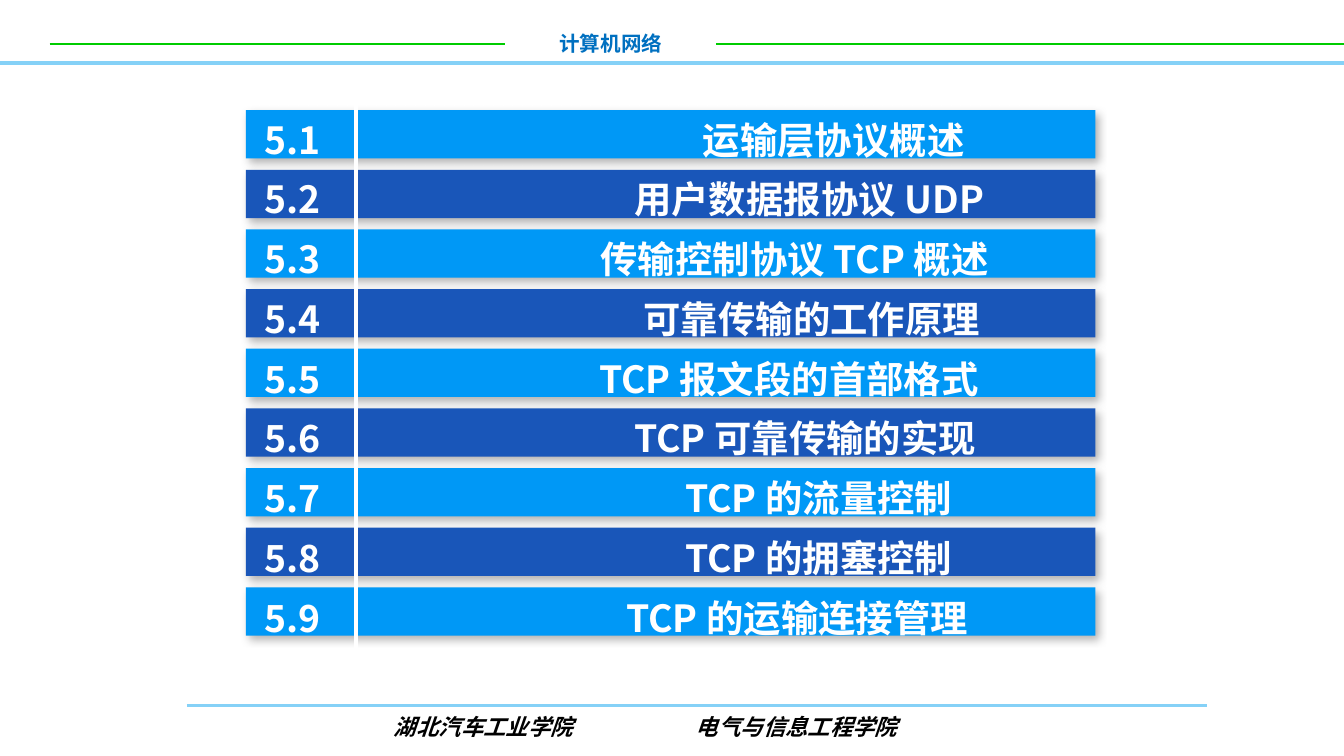
from lxml.etree import SubElement
from pptx import Presentation
from pptx.dml.color import RGBColor
from pptx.enum.shapes import MSO_CONNECTOR as LINE, MSO_SHAPE as SHAPE
from pptx.enum.text import MSO_AUTO_SIZE as FIT, PP_ALIGN as ALIGN
from pptx.oxml.ns import qn
from pptx.util import Inches, Pt

SKY = RGBColor(0x85, 0xD1, 0xF7)
GREEN = RGBColor(0x00, 0xCC, 0x00)
NAVY = RGBColor(0x19, 0x56, 0xB9)
AZURE = RGBColor(0x00, 0x98, 0xF6)
BLUE = RGBColor(0x00, 0x70, 0xC0)
WHITE = RGBColor(0xFF, 0xFF, 0xFF)
BLACK = RGBColor(0x00, 0x00, 0x00)
SANS = "Noto Sans CJK SC"

# Section number, title, tab stop in inches
TOPICS = [
    ("5.1", "运输层协议概述", 3.26),
    ("5.2", "用户数据报协议 UDP", 2.75),
    ("5.3", "传输控制协议 TCP 概述", 2.5),
    ("5.4", "可靠传输的工作原理", 2.82),
    ("5.5", "TCP 报文段的首部格式", 2.49),
    ("5.6", "TCP 可靠传输的实现", 2.75),
    ("5.7", "TCP 的流量控制", 3.13),
    ("5.8", "TCP 的拥塞控制", 3.13),
    ("5.9", "TCP 的运输连接管理", 2.69),
]
TOP, LAST = 0.82, 4.37
PITCH = (LAST - TOP) / (len(TOPICS) - 1)


def add_line(slide, x1, y1, x2, y2, color, width):
    line = slide.shapes.add_connector(
        LINE.STRAIGHT, Inches(x1), Inches(y1), Inches(x2), Inches(y2))
    line.line.color.rgb = color
    line.line.width = Pt(width)
    SubElement(line._element.spPr, qn("a:effectLst"))


def add_shadow(shape):
    effects = SubElement(shape._element.spPr, qn("a:effectLst"))
    outer = SubElement(effects, qn("a:outerShdw"), blurRad=str(Pt(4.5)),
                       dist=str(Pt(2.6)), dir=str(53 * 60000),
                       algn="tl", rotWithShape="0")
    tint = SubElement(outer, qn("a:srgbClr"), val=str(BLACK))
    SubElement(tint, qn("a:alpha"), val="30000")


def add_bar(slide, top, color):
    bar = slide.shapes.add_shape(
        SHAPE.RECTANGLE, Inches(1.83), Inches(top), Inches(6.32), Inches(0.36))
    bar.fill.solid()
    bar.fill.fore_color.rgb = color
    bar.line.fill.background()
    add_shadow(bar)


def add_box(slide, x, y, w, h):
    box = slide.shapes.add_textbox(Inches(x), Inches(y), Inches(w), Inches(h))
    frame = box.text_frame
    frame.word_wrap = True
    frame.auto_size = FIT.SHAPE_TO_FIT_TEXT
    return frame


def add_tabs(para, stops, align):
    tabs = SubElement(para._p.get_or_add_pPr(), qn("a:tabLst"))
    for stop in stops:
        SubElement(tabs, qn("a:tab"), pos=str(Inches(stop)), algn=align)


def style(para, size, color, face=SANS, italic=False):
    for run in para.runs:
        font = run.font
        font.size, font.bold, font.italic = Pt(size), True, italic
        font.color.rgb = color
        font.name = face
        SubElement(run._r.get_or_add_rPr(), qn("a:ea"), typeface=face)


def add_frame(slide):
    """Draw the header and footer."""
    add_line(slide, 1.39, 5.25, 8.98, 5.25, SKY, 1.5)
    add_line(slide, 0, 0.47, 10, 0.47, SKY, 2)
    add_line(slide, 0.37, 0.33, 3.76, 0.33, GREEN, 1)
    add_line(slide, 5.33, 0.33, 10, 0.33, GREEN, 1)

    head = add_box(slide, 3.76, 0.18, 1.57, 0.29).paragraphs[0]
    head.text = "计算机网络"
    head.alignment = ALIGN.CENTER
    style(head, 11, BLUE)

    foot = add_box(slide, 1.02, 5.26, 7.56, 0.3).paragraphs[0]
    foot.text = "\t湖北汽车工业学院\t电气与信息工程学院"
    add_tabs(foot, [2.48, 4.81], "ctr")
    style(foot, 12, BLACK, "Arial", True)


def add_topics(slide):
    for i in range(len(TOPICS)):
        add_bar(slide, TOP + i * PITCH, NAVY if i % 2 else AZURE)
    add_line(slide, 2.65, 0.68, 2.65, 4.97, WHITE, 2.25)

    frame = add_box(slide, 1.87, 0.71, 6.28, 4.14)
    frame.text = "\n".join(f"{num}\t{title}" for num, title, _ in TOPICS)
    for para, (_, _, stop) in zip(frame.paragraphs, TOPICS):
        add_tabs(para, [stop], "l")
        para.line_spacing = Pt(32)
        style(para, 20, WHITE)


def main():
    deck = Presentation()
    deck.slide_width = Inches(10)
    deck.slide_height = deck.slide_width * 9 // 16
    slide = deck.slides.add_slide(deck.slide_layouts[6])
    add_frame(slide)
    add_topics(slide)
    deck.save("out.pptx")


if __name__ == "__main__":
    main()
